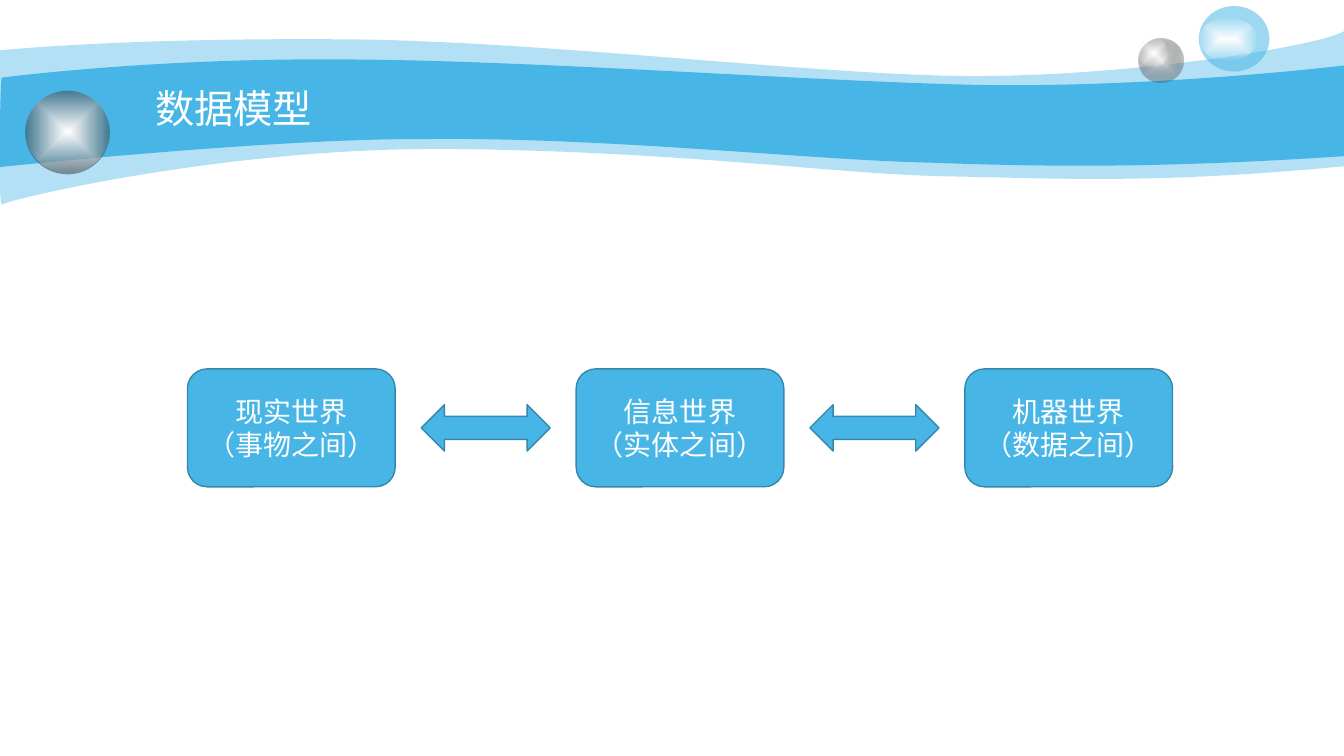
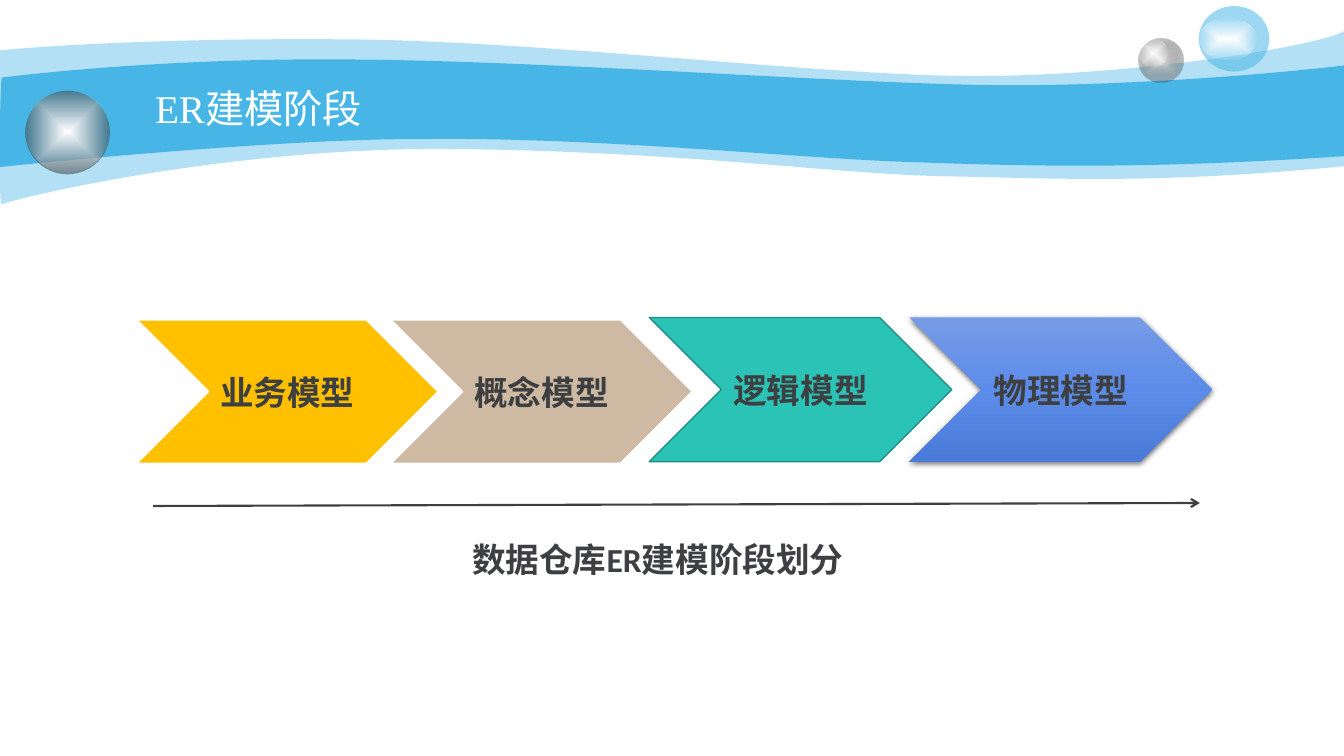
from lxml.etree import SubElement
from pptx import Presentation
from pptx.dml.color import RGBColor
from pptx.enum.shapes import MSO_CONNECTOR, MSO_SHAPE
from pptx.enum.text import MSO_ANCHOR, PP_ALIGN
from pptx.oxml.ns import qn
from pptx.util import Inches, Pt

COLORS = {
    "blue": "47B6E7", "blue_edge": "3587AB", "dark": "3D3F41", "silver": "E2E2E2",
    "white": "FFFFFF", "black": "000000", "amber": "FFC000", "sand": "CEB9A3",
    "teal": "2BC3B5", "teal_edge": "209086",
    "sky": "779BE7", "azure": "5C8CE9", "royal": "4A7AD7",
}
CJK = "Noto Sans CJK SC"
SERIF = "Times New Roman"
SANS = "Calibri"

OUTER_BAND = [
    (0, 0.5), (0.32, 0.47, 1.43, 0.38, 3.29, 0.39), (5.14, 0.39, 7.67, 0.7, 9.32, 0.75),
    (10.96, 0.8, 13.06, 0.47, 13.33, 0.31), (13.33, 1.65),
    (11.44, 1.83, 10.5, 1.77, 9.39, 1.75), (8.29, 1.73, 6.87, 1.51, 4.58, 1.48),
    (2.29, 1.44, 0.05, 1.99, 0.02, 2.03), (-0.02, 2.08, 0, 0.75, 0, 0.5),
]
INNER_BAND = [
    (0.02, 0.77), (0.03, 0.77, 1.46, 0.58, 3.31, 0.59), (5.15, 0.59, 7.94, 0.8, 9.58, 0.84),
    (11.21, 0.88, 13.01, 0.69, 13.33, 0.65), (13.33, 1.55),
    (11.37, 1.68, 10.21, 1.65, 9.09, 1.61), (7.99, 1.58, 5.96, 1.36, 4.23, 1.38),
    (2.71, 1.37, -0.03, 1.66, -0.02, 1.66), (0, 1.66, 0, 0.77, 0.02, 0.77),
]
GLOW = [(0, "white", 100), (100, "white", 0)]
BALLS = [
    (11.29, 0.38, 0.45, 0.44, [(0, "silver", 100), (100, "dark", 31)]),
    (11.29, 0.38, 0.3, 0.29, GLOW),
    (11.89, 0.06, 0.7, 0.65, [(0, "blue", 53)]),
    (11.89, 0.17, 0.58, 0.43, GLOW),
    (0.25, 0.9, 0.84, 0.83, [(0, "dark", 53)]),
    (0.25, 0.9, 0.84, 0.81, GLOW),
]
WORLDS = ["现实世界\n（事物之间）", "信息世界\n（实体之间）", "机器世界\n（数据之间）"]
STAGES = [
    ("业务模型", 0, 0.02, [(0, "amber", 100)], "white", 1.5),
    ("概念模型", 2.52, 0.02, [(0, "sand", 100)], "white", 1.5),
    ("逻辑模型", 5.09, 0, [(0, "teal", 100)], "teal_edge", 1),
    ("物理模型", 7.67, 0, [(0, "sky", 100), (50, "azure", 100), (100, "royal", 100)], None, 0),
]


def rgb(name):
    """Return the named colour."""
    return RGBColor.from_string(COLORS[name])


def add_color(parent, name, alpha):
    """Append a colour with opacity in percent."""
    clr = SubElement(parent, qn("a:srgbClr"), val=COLORS[name])
    if alpha < 100:
        SubElement(clr, qn("a:alpha"), val=str(alpha * 1000))


def paint(sp, stops, angle=None):
    """Fill with one colour, a linear gradient or a gradient from the centre."""
    sp.fill.background()
    spPr = sp._element.spPr
    old = spPr.find(qn("a:noFill"))
    if len(stops) == 1:
        fill = SubElement(spPr, qn("a:solidFill"))
        add_color(fill, *stops[0][1:])
    else:
        fill = SubElement(spPr, qn("a:gradFill"), rotWithShape="1")
        lst = SubElement(fill, qn("a:gsLst"))
        for pos, name, alpha in stops:
            add_color(SubElement(lst, qn("a:gs"), pos=str(pos * 1000)), name, alpha)
        if angle is None:
            center = SubElement(fill, qn("a:path"), path="shape")
            SubElement(center, qn("a:fillToRect"), l="50000", t="50000", r="50000", b="50000")
        else:
            SubElement(fill, qn("a:lin"), ang=str(angle * 60000), scaled="0")
    spPr.replace(old, fill)


def style(sp, stops, edge=None, width=1, angle=None):
    """Set fill and outline and drop the shadow."""
    paint(sp, stops, angle)
    sp.shadow.inherit = False
    if edge:
        sp.line.color.rgb = rgb(edge)
        sp.line.width = Pt(width)
    else:
        sp.line.fill.background()


def add_box(s, kind, x, y, w, h, stops, edge=None, width=1, angle=None):
    """Add a styled preset shape."""
    sp = s.shapes.add_shape(kind, Inches(x), Inches(y), Inches(w), Inches(h))
    style(sp, stops, edge, width, angle)
    return sp


def write(sp, text, size, font, color, bold=False, align=PP_ALIGN.CENTER,
          anchor=MSO_ANCHOR.MIDDLE, spacing=None):
    """Put text into a shape, one paragraph a line."""
    tf = sp.text_frame
    tf.word_wrap = True
    tf.vertical_anchor = anchor
    tf.text = text
    for p in tf.paragraphs:
        p.alignment = align
        if spacing:
            p.line_spacing = spacing
        p.font.size = Pt(size)
        p.font.bold = bold
        p.font.color.rgb = rgb(color)
        p.font.name = font
        SubElement(p._p.pPr.find(qn("a:defRPr")), qn("a:ea"), typeface=CJK)


def add_text(s, x, y, w, h, text, size, font, color, **options):
    """Add a text box."""
    sp = s.shapes.add_textbox(Inches(x), Inches(y), Inches(w), Inches(h))
    write(sp, text, size, font, color, **options)


def bend(sp, segments):
    """Join each three lines of a curved segment into one cubic curve."""
    outline = next(sp._element.iter(qn("a:path")))
    lines = iter(outline.findall(qn("a:lnTo")))
    for seg in segments:
        first = next(lines)
        if len(seg) == 2:
            continue
        curve = SubElement(outline, qn("a:cubicBezTo"))
        outline.replace(first, curve)
        curve.append(first[0])
        for _ in range(2):
            line = next(lines)
            curve.append(line[0])
            outline.remove(line)


def add_band(s, segments, alpha):
    """Draw one wave across the slide."""
    start, *rest = segments
    points = [(Inches(x), Inches(y)) for seg in rest for x, y in zip(seg[::2], seg[1::2])]
    builder = s.shapes.build_freeform(Inches(start[0]), Inches(start[1]))
    builder.add_line_segments(points, close=True)
    sp = builder.convert_to_shape()
    bend(sp, rest)
    style(sp, [(0, "blue", alpha)])


def new_slide(prs, title):
    """Add a slide with waves, balls and a title."""
    s = prs.slides.add_slide(prs.slide_layouts[6])
    add_band(s, OUTER_BAND, 41)
    add_band(s, INNER_BAND, 100)
    for x, y, w, h, stops in BALLS:
        add_box(s, MSO_SHAPE.OVAL, x, y, w, h, stops)
    add_text(s, 1.44, 0.7, 11.06, 0.66, title, 28, SERIF, "white",
             align=PP_ALIGN.LEFT, anchor=MSO_ANCHOR.BOTTOM, spacing=0.9)
    return s


def add_worlds(s, x, y, w, h):
    """Place the worlds in a row with double arrows between them."""
    box_w, arrow_w, arrow_h = 2.06, 1.28, 0.46
    pitch = (w - box_w) / (len(WORLDS) - 1)
    gap = (pitch - box_w - arrow_w) / 2
    look = ([(0, "blue", 100)], "blue_edge")
    for i, text in enumerate(WORLDS):
        left = x + i * pitch
        sp = add_box(s, MSO_SHAPE.ROUNDED_RECTANGLE, left, y, box_w, h, *look)
        write(sp, text, 20, CJK, "white")
        if i < len(WORLDS) - 1:
            add_box(s, MSO_SHAPE.LEFT_RIGHT_ARROW, left + box_w + gap,
                    y + (h - arrow_h) / 2, arrow_w, arrow_h, *look)


def add_shadow(sp):
    """Cast a soft shadow downwards."""
    effects = sp._element.spPr.find(qn("a:effectLst"))
    outer = SubElement(effects, qn("a:outerShdw"), blurRad=str(Pt(4.5)),
                       dist=str(Pt(1.5)), dir="5400000", rotWithShape="0")
    add_color(outer, "black", 63)


def add_stages(s, x, y):
    """Place the chevrons, the time arrow and the caption."""
    for text, dx, dy, stops, edge, width in STAGES:
        sp = add_box(s, MSO_SHAPE.CHEVRON, x + dx, y + dy, 3, 1.43, stops, edge, width, 90)
        write(sp, text, 24, CJK, "dark", bold=True)
        if not edge:
            add_shadow(sp)
    arrow = s.shapes.add_connector(MSO_CONNECTOR.STRAIGHT, Inches(x + 0.17), Inches(y + 1.87),
                                   Inches(x + 10.55), Inches(y + 1.84))
    arrow.line.color.rgb = rgb("dark")
    arrow.line.width = Pt(1.5)
    spPr = arrow._element.spPr
    SubElement(spPr.find(qn("a:ln")), qn("a:tailEnd"), type="arrow")
    SubElement(spPr, qn("a:effectLst"))
    add_text(s, x + 2.61, y + 2.15, 5.13, 0.5, "数据仓库ER建模阶段划分", 24, SANS, "dark",
             bold=True, anchor=MSO_ANCHOR.TOP)


def main():
    """Build and save the slides."""
    prs = Presentation()
    prs.slide_width, prs.slide_height = Inches(13.33), Inches(7.5)
    add_worlds(new_slide(prs, "数据模型"), 1.86, 3.66, 9.77, 1.17)
    add_stages(new_slide(prs, "ER建模阶段"), 1.35, 3.15)
    prs.save("out.pptx")


if __name__ == "__main__":
    main()
